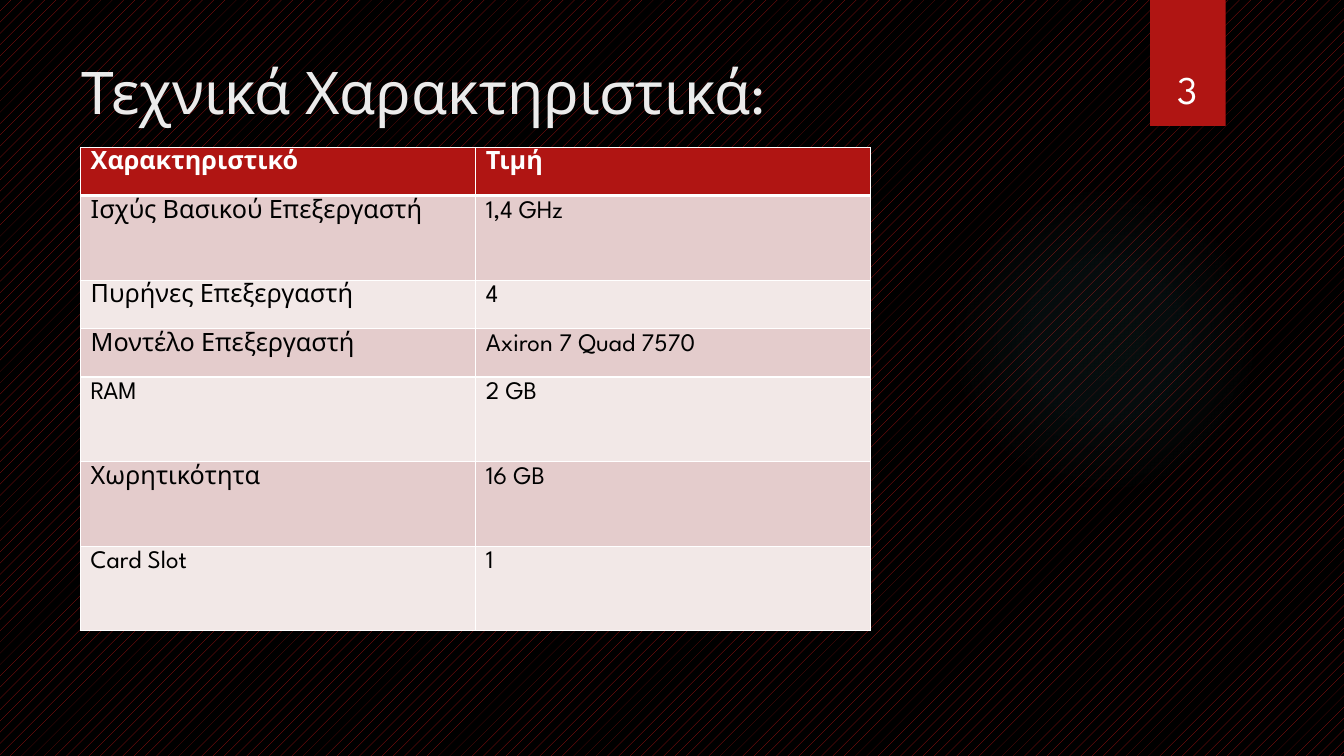
from dataclasses import dataclass

from lxml import etree
from pptx import Presentation
from pptx import util as u
from pptx.dml.color import RGBColor
from pptx.enum import dml, shapes, text
from pptx.oxml import parse_xml
from pptx.oxml.ns import nsdecls, qn

UNIT = u.Inches(1) / 12
COLUMNS, ROWS = 160, 90
FONT = "League Spartan"
RED, WHITE, BLACK, TEAL = "B01513", "FFFFFF", "000000", "50B9C1"
BANDS = ("E4CCCC", "F2E8E7")


@dataclass(frozen=True)
class Frame:
    column: float
    row: float
    columns: float
    rows: float


@dataclass(frozen=True)
class Label:
    frame: Frame
    words: str
    size: int
    color: str
    align: text.PP_ALIGN
    anchor: text.MSO_ANCHOR


@dataclass(frozen=True)
class Feature:
    name: str
    value: str
    rows: float


SHORT, TALL = 5.76, 10.08
CELL_MARGIN = 0.6
TABLE = Frame(9.6, 17.52, 94.08, 57.6)
GLOW = Frame(112.92, 21.96, 36.96, 36.96)
TAB = Frame(136.92, 0, 9, 15)

LABELS = (
    Label(Frame(8.52, 6, 123.48, 18.36), "Τεχνικά Χαρακτηριστικά:", 42, "EBEBEB",
          text.PP_ALIGN.LEFT, text.MSO_ANCHOR.TOP),
    Label(Frame(135.84, 3.84, 11.04, 10.08), "3", 28, WHITE,
          text.PP_ALIGN.CENTER, text.MSO_ANCHOR.BOTTOM),
)

FEATURES = (
    Feature("Χαρακτηριστικό", "Τιμή", SHORT),
    Feature("Ισχύς Βασικού Επεξεργαστή", "1,4 GHz", TALL),
    Feature("Πυρήνες Επεξεργαστή", "4", SHORT),
    Feature("Μοντέλο Επεξεργαστή", "Axiron 7 Quad 7570", SHORT),
    Feature("RAM", "2 GB", TALL),
    Feature("Χωρητικότητα", "16 GB", TALL),
    Feature("Card Slot", "1", TALL),
)


def rgb(code: str) -> RGBColor:
    return RGBColor.from_string(code)


def grid(count: float) -> int:
    return round(count * UNIT)


def place(frame: Frame) -> tuple[int, ...]:
    return tuple(map(grid, (frame.column, frame.row, frame.columns, frame.rows)))


def add_span(para, words: str, size: int, color: str, bold: bool = False) -> None:
    span = para.add_run()
    span.text = words
    span.font.name = FONT
    span.font.size = u.Pt(size)
    span.font.bold = bold
    span.font.color.rgb = rgb(color)


def draw_label(page, label: Label) -> None:
    frame = page.shapes.add_textbox(*place(label.frame)).text_frame
    frame.word_wrap = True
    frame.vertical_anchor = label.anchor
    para = frame.paragraphs[0]
    para.alignment = label.align
    add_span(para, label.words, label.size, label.color)


def draw_shape(page, kind: shapes.MSO_SHAPE, frame: Frame, color: str):
    shape = page.shapes.add_shape(kind, *place(frame))
    shape.shadow.inherit = False
    shape.fill.solid()
    shape.fill.fore_color.rgb = rgb(color)
    shape.line.fill.background()
    return shape


def fade(shape, color: str, stops: tuple[tuple[int, int], ...]) -> None:
    marks = "".join(
        f'<a:gs pos="{position * 1000}"><a:srgbClr val="{color}">'
        f'<a:alpha val="{alpha * 1000}"/></a:srgbClr></a:gs>'
        for position, alpha in stops)
    gradient = parse_xml(
        f'<a:gradFill {nsdecls("a")} rotWithShape="1"><a:gsLst>{marks}</a:gsLst>'
        '<a:path path="circle"><a:fillToRect l="50000" t="50000" r="50000" b="50000"/>'
        '</a:path></a:gradFill>')
    properties = shape.element.spPr
    properties.replace(properties.find(qn("a:solidFill")), gradient)


def cast_shadow(shape) -> None:
    effects = shape.element.spPr.find(qn("a:effectLst"))
    effects.append(parse_xml(
        f'<a:outerShdw {nsdecls("a")} blurRad="{u.Pt(4)}" dist="{u.Pt(3)}" dir="5400000" '
        f'rotWithShape="0"><a:srgbClr val="{BLACK}"><a:alpha val="35000"/></a:srgbClr>'
        '</a:outerShdw>'))


def draw_borders(cell, top: int, bottom: int) -> None:
    properties = cell._tc.get_or_add_tcPr()
    widths = {"lnL": 1, "lnR": 1, "lnT": top, "lnB": bottom}
    for index, (side, width) in enumerate(widths.items()):
        line = etree.Element(qn(f"a:{side}"), w=str(u.Pt(width)))
        fill = etree.SubElement(line, qn("a:solidFill"))
        etree.SubElement(fill, qn("a:srgbClr"), val=WHITE)
        properties.insert(index, line)


def draw_table(page, features: tuple[Feature, ...]) -> None:
    table = page.shapes.add_table(len(features), 2, *place(TABLE)).table
    for column in table.columns:
        column.width = grid(TABLE.columns / 2)
    for index, feature in enumerate(features):
        header = index == 0
        table.rows[index].height = grid(feature.rows)
        for side, words in enumerate((feature.name, feature.value)):
            cell = table.cell(index, side)
            cell.margin_top = cell.margin_bottom = grid(CELL_MARGIN)
            cell.vertical_anchor = text.MSO_ANCHOR.TOP
            cell.fill.solid()
            cell.fill.fore_color.rgb = rgb(RED if header else BANDS[(index - 1) % 2])
            draw_borders(cell, 3 if index == 1 else 1, 3 if header else 1)
            add_span(cell.text_frame.paragraphs[0], words, 18,
                     WHITE if header else BLACK, header)


def main() -> None:
    deck = Presentation()
    deck.slide_width, deck.slide_height = grid(COLUMNS), grid(ROWS)
    page = deck.slides.add_slide(deck.slide_layouts[6])
    backdrop = page.background.fill
    backdrop.patterned()
    backdrop.pattern = dml.MSO_PATTERN.PERCENT_10
    backdrop.fore_color.rgb = rgb(RED)
    backdrop.back_color.rgb = rgb(BLACK)

    glow = draw_shape(page, shapes.MSO_SHAPE.OVAL, GLOW, TEAL)
    fade(glow, TEAL, ((0, 7), (36, 6), (69, 0)))
    cast_shadow(draw_shape(page, shapes.MSO_SHAPE.RECTANGLE, TAB, RED))
    draw_table(page, FEATURES)
    for label in LABELS:
        draw_label(page, label)
    deck.save("out.pptx")


if __name__ == "__main__":
    main()
